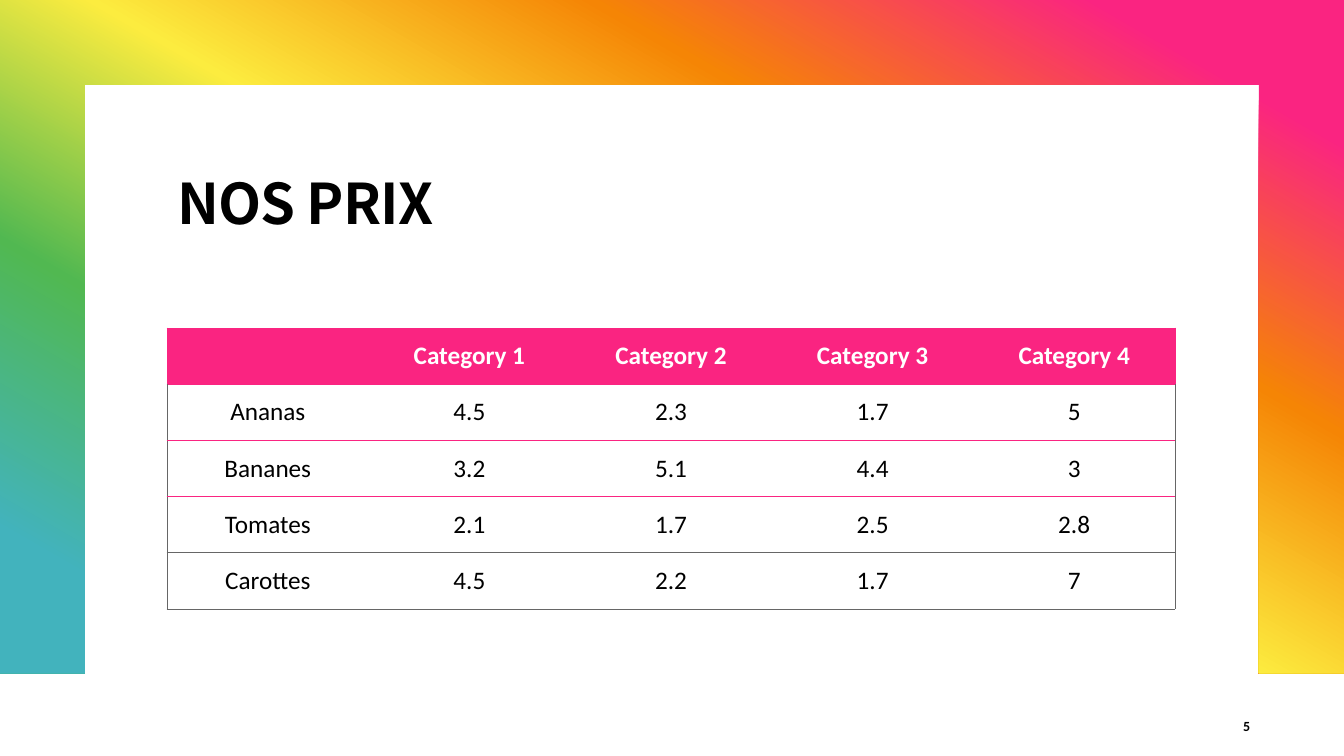
from lxml import etree
from pptx import Presentation
from pptx.dml.color import RGBColor
from pptx.enum.text import MSO_ANCHOR, MSO_AUTO_SIZE, PP_ALIGN
from pptx.oxml import parse_xml
from pptx.oxml.ns import nsdecls, qn
from pptx.util import Pt

PX = 914400 / 100.8
WIDTH, HEIGHT = 1344, 756
PINK, GREY, BLACK, WHITE = "FA2481", "666666", "000000", "FFFFFF"
RAINBOW = [(10, PINK), (30, "F58505"), (50, "FCEC3F"), (70, "51B851"), (90, "42B3BD")]
NO_GRID_STYLE = "{2D5ABB26-0587-4C30-8999-92F81FD0307C}"
PRICES = [
    ["", "Category 1", "Category 2", "Category 3", "Category 4"],
    ["Ananas", "4.5", "2.3", "1.7", "5"],
    ["Bananes", "3.2", "5.1", "4.4", "3"],
    ["Tomates", "2.1", "1.7", "2.5", "2.8"],
    ["Carottes", "4.5", "2.2", "1.7", "7"],
]
# Colour of the horizontal rules, from the table's top to its bottom
RULES = [PINK, PINK, PINK, PINK, GREY, GREY]


def px(*lengths):
    return [round(length * PX) for length in lengths]


def rgb(value):
    return RGBColor.from_string(value)


def format_text(frame, size, color, bold, align, font="Calibri"):
    frame.vertical_anchor = MSO_ANCHOR.MIDDLE
    for paragraph in frame.paragraphs:
        paragraph.alignment = align
        for run in paragraph.runs:
            run.font.name, run.font.size, run.font.bold = font, Pt(size), bold
            run.font.color.rgb = rgb(color)


def add_rainbow_frame(slide, bottom, margin):
    right = WIDTH - margin
    builder = slide.shapes.build_freeform(0, 0, scale=PX)
    builder.add_line_segments([
        (WIDTH, 0), (WIDTH, bottom), (right, bottom), (right, margin),
        (margin, margin), (margin, bottom), (0, bottom)])
    frame = builder.convert_to_shape()
    frame.shadow.inherit = False
    frame.line.fill.background()
    # Five-colour gradient running down to the left
    stops = "".join(
        f'<a:gs pos="{position * 1000}"><a:srgbClr val="{color}"/></a:gs>'
        for position, color in RAINBOW)
    gradient = parse_xml(
        f'<a:gradFill {nsdecls("a")} rotWithShape="1"><a:gsLst>{stops}</a:gsLst>'
        f'<a:lin ang="{120 * 60000}" scaled="0"/></a:gradFill>')
    frame._element.spPr.find(qn("a:custGeom")).addnext(gradient)


def set_title(slide, text, left, top, width, height):
    title = slide.shapes.title
    title.left, title.top, title.width, title.height = px(left, top, width, height)
    frame = title.text_frame
    frame.text = text
    frame.auto_size = MSO_AUTO_SIZE.NONE
    format_text(frame, 40, BLACK, True, PP_ALIGN.LEFT, "Noto Sans CJK SC")
    heading = frame.paragraphs[0]
    heading.line_spacing = 0.95
    run_props = heading.runs[0].font._element
    run_props.set("spc", "-50")
    etree.SubElement(run_props, qn("a:ea")).set("typeface", "Noto Sans CJK SC")


def add_border(cell, side, color):
    cell._tc.get_or_add_tcPr().append(parse_xml(
        f'<a:ln{side} {nsdecls("a")} w="{Pt(0.5)}"><a:solidFill>'
        f'<a:srgbClr val="{color}"/></a:solidFill></a:ln{side}>'))


def add_price_table(slide, left, top, width, height):
    rows, columns = len(PRICES), len(PRICES[0])
    table = slide.shapes.add_table(rows, columns, *px(left, top, width, height)).table
    table._tbl.tblPr.find(qn("a:tableStyleId")).text = NO_GRID_STYLE
    table.horz_banding = False
    for r, values in enumerate(PRICES):
        is_header = r == 0
        side_color = PINK if is_header else GREY
        for c, value in enumerate(values):
            cell = table.cell(r, c)
            cell.text = value
            format_text(cell.text_frame, 18, WHITE if is_header else BLACK,
                        is_header, PP_ALIGN.CENTER)
            cell.vertical_anchor = MSO_ANCHOR.MIDDLE
            if c == 0:
                add_border(cell, "L", side_color)
            if c == columns - 1:
                add_border(cell, "R", side_color)
            add_border(cell, "T", RULES[r])
            add_border(cell, "B", RULES[r + 1])
            cell.fill.solid()
            cell.fill.fore_color.rgb = rgb(PINK if is_header else WHITE)


def add_page_number(slide, number, left, top, width, height):
    box = slide.shapes.add_textbox(*px(left, top, width, height))
    box.text_frame.word_wrap = True
    box.text_frame.text = number
    format_text(box.text_frame, 10, BLACK, True, PP_ALIGN.RIGHT)


def main():
    prs = Presentation()
    prs.slide_width, prs.slide_height = px(WIDTH, HEIGHT)
    slide = prs.slides.add_slide(prs.slide_layouts[5])
    add_rainbow_frame(slide, bottom=673, margin=85)
    set_title(slide, "NOS PRIX", 167, 167, 314, 76)
    add_price_table(slide, 167, 328, 1008, 281)
    add_page_number(slide, "5", 1202, 706, 58, 40)
    prs.save("out.pptx")


if __name__ == "__main__":
    main()
